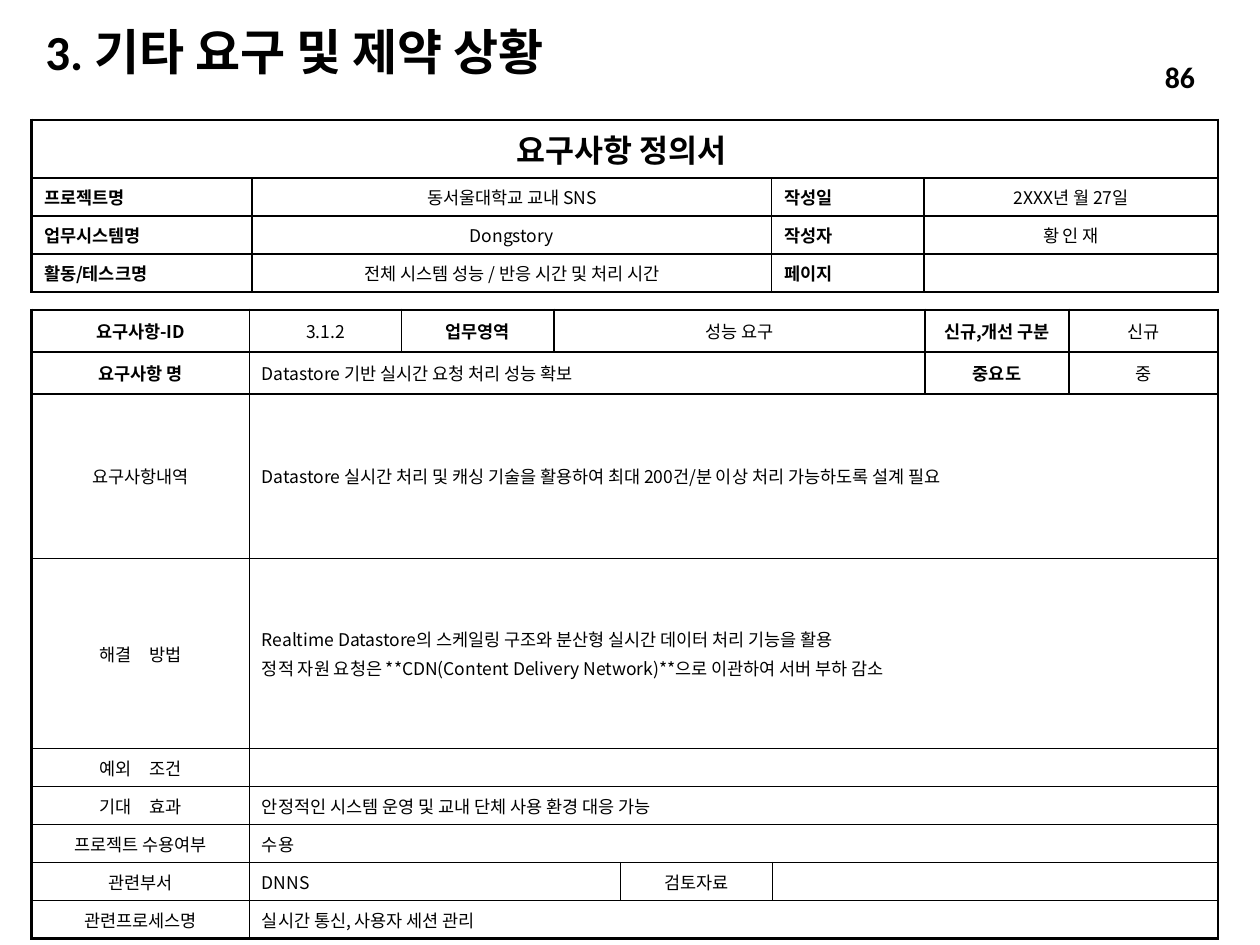
import pptx
import pptx.util
import pptx.dml.color
import pptx.enum.text
import pptx.oxml.ns
from lxml import etree

Pt = pptx.util.Pt
Align = pptx.enum.text.PP_ALIGN
Anchor = pptx.enum.text.MSO_ANCHOR
qn = pptx.oxml.ns.qn

COLORS = {"ink": "000000"}
THICK, THIN = 1.5, 1

# Cell kinds: alignment, bold, size
KINDS = {
    "title": (Align.CENTER, True, 18),
    "head": (Align.CENTER, True, 10),
    "label": (Align.JUSTIFY, True, 10),
    "mid": (Align.CENTER, False, 10),
    "left": (Align.LEFT, False, 10),
}

# Each cell is (columns spanned, kind, text)
INFO = [
    [(4, "title", "요구사항 정의서 ")],
    [(1, "label", "프로젝트명"), (1, "mid", "동서울대학교 교내 SNS"),
     (1, "label", "작성일"), (1, "mid", "2XXX년 월 27일")],
    [(1, "label", "업무시스템명 "), (1, "mid", "Dongstory"),
     (1, "label", "작성자"), (1, "mid", "황 인 재")],
    [(1, "label", "활동/테스크명"),
     (1, "mid", "전체 시스템 성능 / 반응 시간 및 처리 시간"),
     (1, "label", "페이지"), (1, "mid", "")],
]

# Rows that hold one label and one wide value
DETAILS = [
    ("요구사항내역",
     "Datastore 실시간 처리 및 캐싱 기술을 활용하여 최대 200건/분 이상 처리 가능하도록 설계 필요"),
    ("해결　방법",
     "Realtime Datastore의 스케일링 구조와 분산형 실시간 데이터 처리 기능을 활용\n"
     "정적 자원 요청은 **CDN(Content Delivery Network)**으로 이관하여 서버 부하 감소"),
    ("예외　조건", ""),
    ("기대　효과", "안정적인 시스템 운영 및 교내 단체 사용 환경 대응 가능"),
    ("프로젝트 수용여부", "수용"),
    ("관련프로세스명", "실시간 통신, 사용자 세션 관리"),
]
WIDE = [[(1, "mid", name), (7, "left", text)] for name, text in DETAILS]

NEEDS = [
    [(1, "head", "요구사항-ID"), (1, "mid", "3.1.2"), (1, "head", "업무영역"),
     (3, "mid", "성능 요구"), (1, "head", "신규,개선 구분"), (1, "mid", "신규")],
    [(1, "head", "요구사항 명"),
     (5, "left", "Datastore 기반 실시간 요청 처리 성능 확보"),
     (1, "head", "중요도"), (1, "mid", "중")],
    *WIDE[:-1],
    [(1, "mid", "관련부서"), (3, "left", "DNNS"),
     (1, "mid", "검토자료"), (3, "left", "")],
    WIDE[-1],
]


class Page:
    def __init__(self, deck):
        self.slide = deck.slides.add_slide(deck.slide_layouts[5])
        self.face = "Calibri"
        self.grid = "Noto Sans CJK KR"

    def style(self, para, size, bold, align, face):
        para.alignment = align
        font = para.font
        font.size, font.bold, font.name = Pt(size), bold, face
        font.color.rgb = pptx.dml.color.RGBColor.from_string(COLORS["ink"])
        east = etree.SubElement(para._p.pPr.find(qn("a:defRPr")), qn("a:ea"))
        east.set("typeface", self.grid)

    def fill(self, shape, box, text, size, align):
        shape.left, shape.top, shape.width, shape.height = map(Pt, box)
        frame = shape.text_frame
        frame.text = text
        frame.word_wrap = True
        frame.auto_size = pptx.enum.text.MSO_AUTO_SIZE.NONE
        frame.vertical_anchor = Anchor.MIDDLE
        self.style(frame.paragraphs[0], size, True, align, self.face)
        return frame.paragraphs[0]

    def title(self, box, text):
        para = self.fill(self.slide.shapes.title, box, text, 28, Align.LEFT)
        para.line_spacing = 0.9

    def number(self, box, text):
        shape = self.slide.shapes.add_textbox(0, 0, 0, 0)
        self.fill(shape, box, text, 17, Align.RIGHT)

    def border(self, cell, sides):
        props = cell._tc.get_or_add_tcPr()
        for side, width in zip("LRTB", sides):
            line = etree.SubElement(props, qn("a:ln" + side), w=str(Pt(width)))
            paint = etree.SubElement(line, qn("a:solidFill"))
            etree.SubElement(paint, qn("a:srgbClr"), val=COLORS["ink"])
        cell.fill.background()

    def label(self, cell, kind, text):
        align, bold, size = KINDS[kind]
        cell.text = text
        for i, para in enumerate(cell.text_frame.paragraphs):
            self.style(para, size, bold, align, self.grid)
            if i:
                para.space_before = Pt(2)
            if not text:
                etree.SubElement(para._p, qn("a:endParaRPr"), sz=str(size * 100))

    def table(self, left, top, cols, rows, data, heavy=()):
        """Draw a table; heavy lists inner horizontal lines drawn thick."""
        table = self.slide.shapes.add_table(
            len(rows), len(cols), Pt(left), Pt(top),
            Pt(sum(cols)), Pt(sum(rows))).table
        table.first_row = table.horz_banding = False
        for col, width in zip(table.columns, cols):
            col.width = Pt(width)
        for row, height in zip(table.rows, rows):
            row.height = Pt(height)

        across = {0, len(rows), *heavy}
        down = {0, len(cols)}
        for r, line in enumerate(data):
            c = 0
            for span, kind, text in line:
                end = c + span
                sides = [THICK if edge in strong else THIN for edge, strong in
                         ((c, down), (end, down), (r, across), (r + 1, across))]
                for k in range(c, end):
                    cell = table.cell(r, k)
                    cell.vertical_anchor = Anchor.MIDDLE
                    self.label(cell, kind, text if k == c else "")
                    self.border(cell, sides)
                if span > 1:
                    table.cell(r, c).merge(table.cell(r, end - 1))
                c = end


def main():
    deck = pptx.Presentation()
    deck.slide_width, deck.slide_height = Pt(720), Pt(540)
    page = Page(deck)
    page.title((18.7, 15, 386, 32), "3. 기타 요구 및 제약 상황")
    page.table(18, 177, [124.5, 87, 87, 38, 87, 87, 82.5, 85],
               [24, 24, 94.3, 108.6] + [21.7] * 5, NEEDS, heavy=(1, 2))
    page.table(18, 68.4, [126, 297, 87, 168], [33.4] + [21.7] * 3, INFO)
    page.number((573, 29.5, 117, 29), "86")
    deck.save("out.pptx")


if __name__ == "__main__":
    main()
